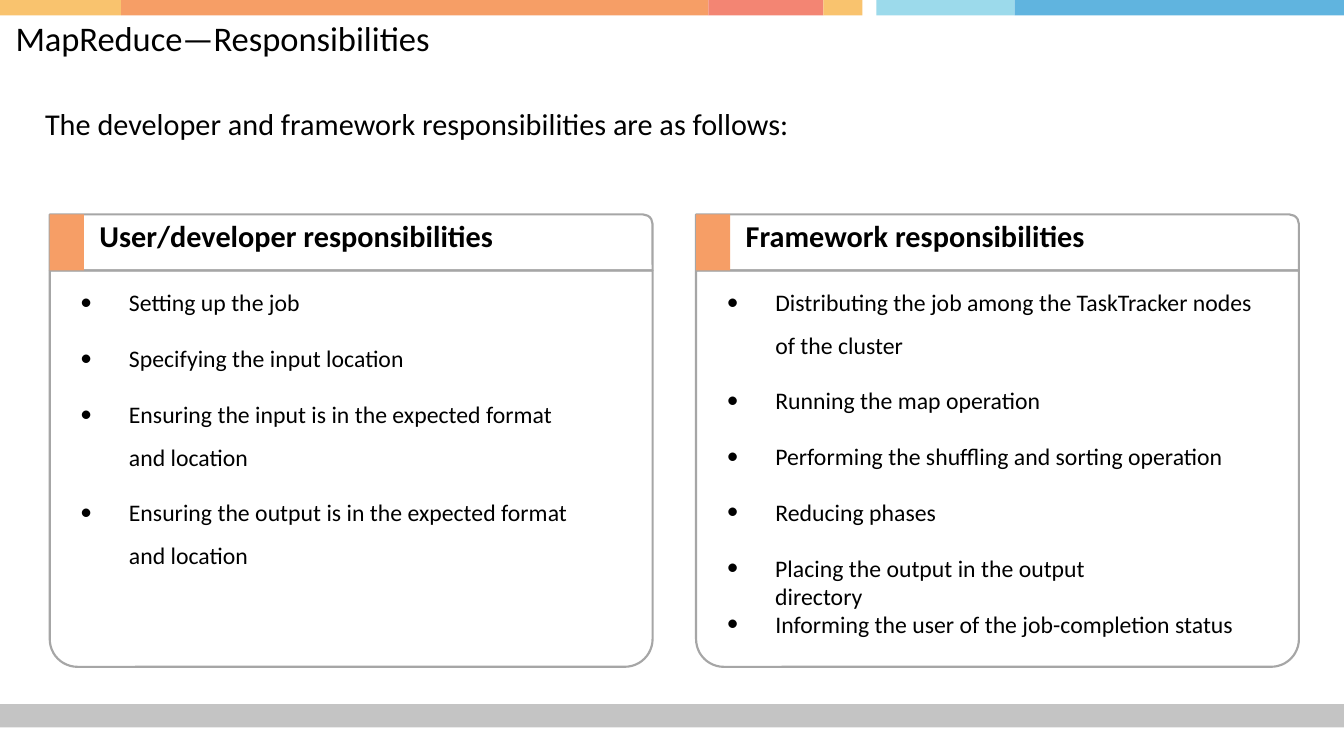
from lxml import etree
from pptx import Presentation
from pptx import util as u
from pptx.dml.color import RGBColor
from pptx.enum import shapes, text
from pptx.oxml import ns

PX = 9144  # 100 px to the inch
BLACK = RGBColor(0x00, 0x00, 0x00)
GREY = RGBColor(0xC4, 0xC4, 0xC4)
OUTLINE = RGBColor(0xA6, 0xA6, 0xA6)
YELLOW = RGBColor(0xF9, 0xC3, 0x6E)
ORANGE = RGBColor(0xF6, 0x9E, 0x66)
CORAL = RGBColor(0xF3, 0x85, 0x73)
PALE_BLUE = RGBColor(0x9C, 0xDA, 0xEB)
BLUE = RGBColor(0x60, 0xB4, 0xDF)

WIDTH, HEIGHT = 865, 469
BANDS = [(0, 78, YELLOW), (78, 456, ORANGE), (456, 530, CORAL),
         (530, 555, YELLOW), (564, 653, PALE_BLUE), (653, 865, BLUE)]
PANEL_TOP, PANEL_WIDTH, PANEL_HEIGHT = 138, 388, 291
HEADER_HEIGHT = 36
ITEM_STEP, EXTRA_LINE, WIDE_LINE_RISE = 36, 27, 9

FRAME = dict(margin_left=0, margin_top=0, margin_right=0, margin_bottom=0,
             word_wrap=True, auto_size=text.MSO_AUTO_SIZE.NONE,
             vertical_anchor=text.MSO_ANCHOR.TOP)

# Each item: wording, box width, whether it takes two widely spaced lines
DEVELOPER_ITEMS = [
    ("Setting up the job", 320, False),
    ("Specifying the input location", 320, False),
    ("Ensuring the input is in the expected format and location", 320, True),
    ("Ensuring the output is in the expected format and location", 320, True),
]
FRAMEWORK_ITEMS = [
    ("Distributing the job among the TaskTracker nodes of the cluster", 348, True),
    ("Running the map operation", 348, False),
    ("Performing the shuffling and sorting operation", 348, False),
    ("Reducing phases", 348, False),
    ("Placing the output in the output directory", 290, False),
    ("Informing the user of the job-completion status", 348, False),
]


def px(*lengths):
    return [u.Emu(length * PX) for length in lengths]


def apply(target, values):
    for name, value in values.items():
        setattr(target, name, value)


def add_block(slide, preset, box, fill=None, corners=()):
    """Draw a shape that is filled, or outlined when it has no fill."""
    block = slide.shapes.add_shape(preset, *px(*box))
    block.shadow.inherit = False
    for index, corner in enumerate(corners):
        block.adjustments[index] = corner
    if fill is None:
        block.fill.background()
        block.line.color.rgb = OUTLINE
        block.line.width = u.Pt(1)
    else:
        block.fill.solid()
        block.fill.fore_color.rgb = fill
        block.line.fill.background()


def write(frame, wording, size, bold=False):
    apply(frame, FRAME)
    paragraph = frame.paragraphs[0]
    paragraph.alignment = text.PP_ALIGN.LEFT
    run = paragraph.add_run()
    run.text = wording
    apply(run.font, dict(name="Calibri", size=u.Pt(size), bold=bold))
    run.font.color.rgb = BLACK
    return paragraph


def add_text(slide, box, wording, size, bold=False):
    frame = slide.shapes.add_textbox(*px(*box)).text_frame
    return write(frame, wording, size, bold)


def set_bullet(paragraph):
    properties = paragraph._p.get_or_add_pPr()
    properties.set("marL", str(33 * PX))
    properties.set("indent", str(-31 * PX))
    for tag, key, value in (("a:buSzPct", "val", "77000"),
                            ("a:buFont", "typeface", "Calibri"),
                            ("a:buChar", "char", "●")):
        etree.SubElement(properties, ns.qn(tag)).set(key, value)


def add_items(slide, left, top, items):
    for wording, width, two_lines in items:
        box = (left, top, width, 21)
        if two_lines:
            box = (left, top - WIDE_LINE_RISE, width, 57)
        paragraph = add_text(slide, box, wording, 11)
        set_bullet(paragraph)
        paragraph.line_spacing = 1.5 if two_lines else 1.0
        top += ITEM_STEP + (EXTRA_LINE if two_lines else 0)


def add_panel(slide, left, heading, items):
    preset = shapes.MSO_SHAPE
    body_top = PANEL_TOP + HEADER_HEIGHT
    add_block(slide, preset.ROUND_2_SAME_RECTANGLE,
              (left, body_top, PANEL_WIDTH, PANEL_HEIGHT - HEADER_HEIGHT),
              corners=(0, 0.07))
    add_block(slide, preset.ROUND_1_RECTANGLE,
              (left, PANEL_TOP, PANEL_WIDTH, HEADER_HEIGHT), corners=(0.17,))
    add_block(slide, preset.RECTANGLE,
              (left, PANEL_TOP, 22, HEADER_HEIGHT), ORANGE)
    add_text(slide, (left + 32, PANEL_TOP + 2, 300, 26), heading, 14, True)
    add_items(slide, left + 18, body_top + 11, items)


def add_bands(slide):
    rectangle = shapes.MSO_SHAPE.RECTANGLE
    add_block(slide, rectangle, (0, 453, WIDTH, 15), GREY)
    for start, end, colour in BANDS:
        add_block(slide, rectangle, (start, 0, end - start, 10), colour)


def add_title(slide):
    title = slide.shapes.title
    apply(title, dict(zip(("left", "top", "width", "height"),
                          px(10, 11, 848, 29))))
    write(title.text_frame, "MapReduce—Responsibilities", 16)


def main():
    deck = Presentation()
    deck.slide_width, deck.slide_height = px(WIDTH, HEIGHT)
    slide = deck.slides.add_slide(deck.slide_layouts.get_by_name("Title Only"))
    add_bands(slide)
    add_title(slide)
    add_text(slide, (29, 68, 500, 26),
             "The developer and framework responsibilities are as follows:", 14)
    add_panel(slide, 32, "User/developer responsibilities", DEVELOPER_ITEMS)
    add_panel(slide, 448, "Framework responsibilities", FRAMEWORK_ITEMS)
    deck.save("out.pptx")


if __name__ == "__main__":
    main()
